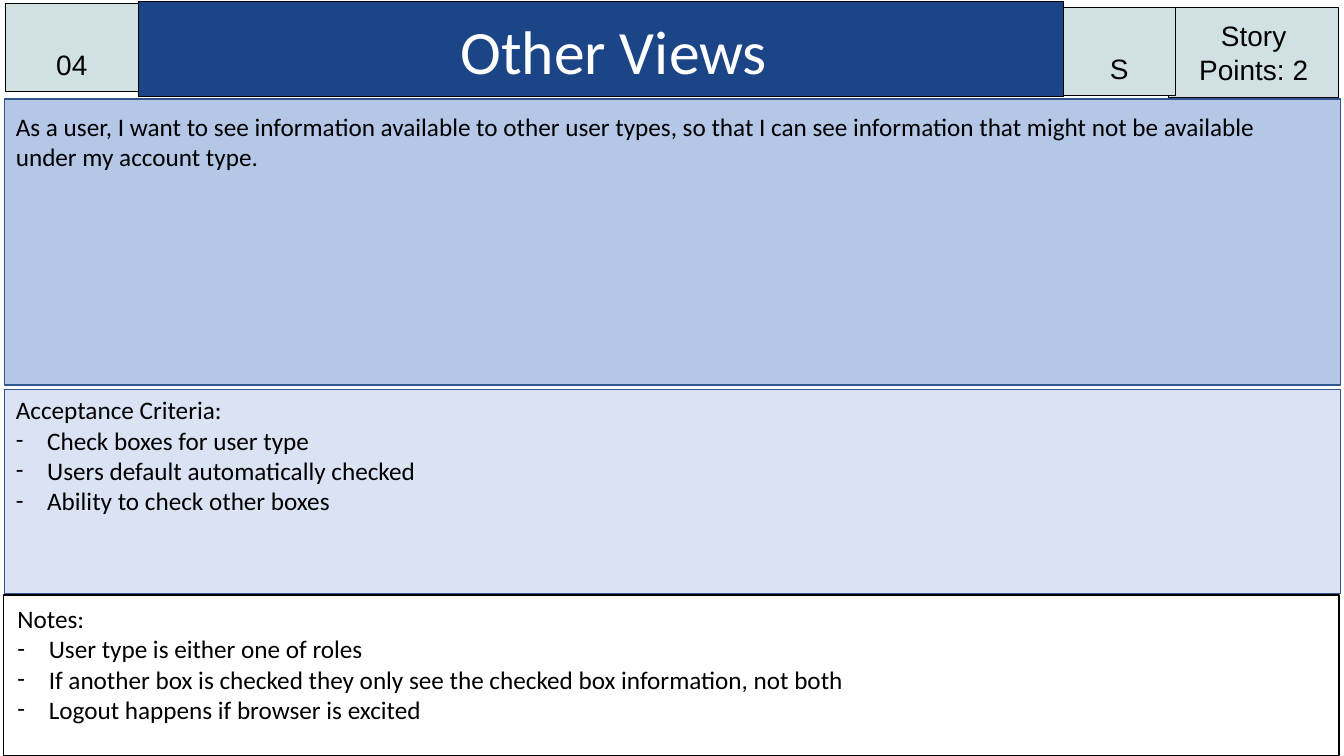
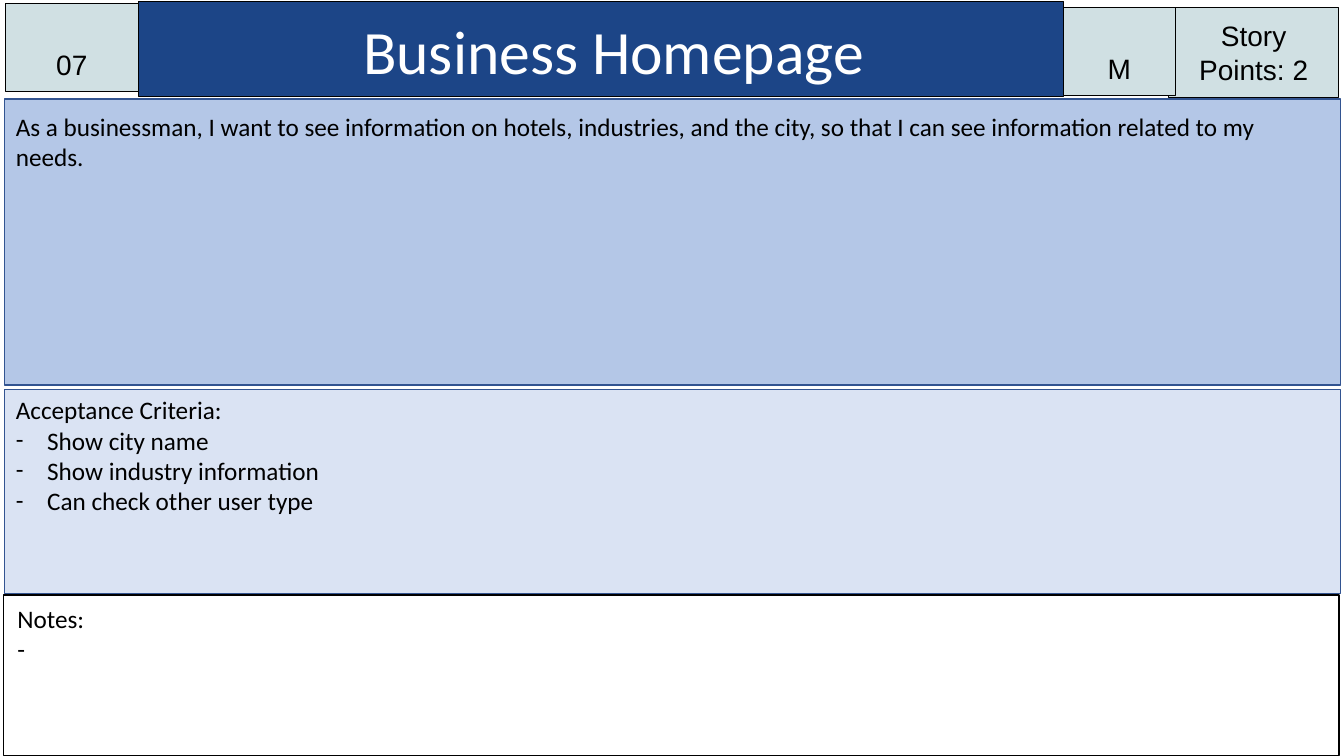
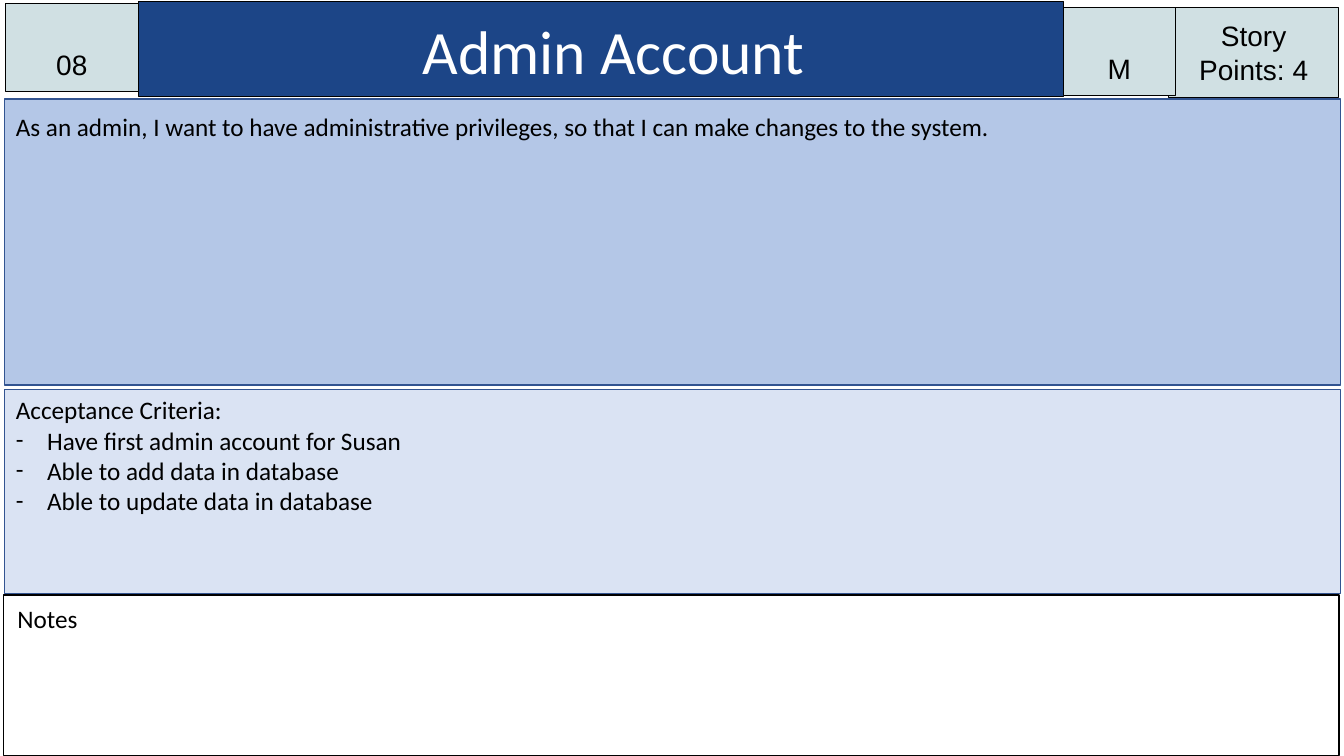
import pptx
import pptx.dml.color
import pptx.enum.shapes
import pptx.enum.text
import pptx.oxml.ns
import pptx.util
import lxml.etree
from pptx.util import Cm

COLOURS = {
    "title": "1C4587",
    "badge": "D0E0E3",
    "story": "B4C7E7",
    "criteria": "DAE3F3",
    "border": "325491",
    "white": "FFFFFF",
    "black": "000000",
}
ALIGN = pptx.enum.text.PP_ALIGN
ANCHOR = pptx.enum.text.MSO_ANCHOR

# Left, top, width, height in centimetres; fill, line colour, line width in points
BOXES = {
    "title": ((3.5, 0.03, 23.3, 2.4), "title", "black", 0.75),
    "points": ((29.46, 0.2, 4.27, 2.25), "badge", "black", 0.75),
    "size": ((26.8, 0.2, 2.82, 2.22), "badge", "black", 0.75),
    "number": ((0.13, 0.08, 3.36, 2.23), "badge", "black", 0.75),
    "story panel": ((0.12, 2.5, 33.66, 7.2), "story", "border", 1),
    "criteria panel": ((0.12, 9.82, 33.66, 5.13), "criteria", "border", 1),
    "notes panel": ((0.09, 14.99, 33.66, 4.05), "white", "black", 1),
}
TEXT_BOXES = {
    "criteria": (0.15, 9.82, 33.6, 3.33),
    "story": (0.15, 2.68, 33.05, 1.8),
    "notes": (0.19, 15.08, 33.57, 3.33),
}

# Text frame settings, then font name, size, colour and alignment
BADGE_FRAME = {
    "margin_left": Cm(0.25), "margin_right": Cm(0.25),
    "margin_top": Cm(0.27), "margin_bottom": Cm(0.25),
    "vertical_anchor": ANCHOR.TOP, "word_wrap": True,
}
LOW_BADGE_FRAME = {**BADGE_FRAME, "margin_top": Cm(1.11)}
TITLE_FRAME = {**BADGE_FRAME, "margin_left": Cm(0.89), "vertical_anchor": ANCHOR.BOTTOM}
BODY_FRAME = {"vertical_anchor": ANCHOR.TOP, "word_wrap": True}
BADGE_FONT = ("Arial", 20, "black", ALIGN.CENTER)
BODY_STYLE = (BODY_FRAME, ("Calibri", 18, "black", ALIGN.LEFT))
STYLES = {
    "title": (TITLE_FRAME, ("Calibri", 44, "white", ALIGN.CENTER)),
    "points": (BADGE_FRAME, BADGE_FONT),
    "size": (LOW_BADGE_FRAME, BADGE_FONT),
    "number": (LOW_BADGE_FRAME, BADGE_FONT),
    "criteria": BODY_STYLE,
    "story": BODY_STYLE,
    "notes": BODY_STYLE,
}

CARDS = [
    {
        "number": ["04"],
        "title": ["Other Views"],
        "size": ["S"],
        "points": ["Story Points: 2"],
        "story": ["As a user, I want to see information available to other user types, "
                  "so that I can see information that might not be available under my account type."],
        "criteria": ["Acceptance Criteria:", "Check boxes for user type",
                     "Users default automatically checked", "Ability to check other boxes"],
        "notes": ["Notes:", "User type is either one of roles",
                  "If another box is checked they only see the checked box information, not both",
                  "Logout happens if browser is excited"],
    },
    {
        "number": ["07"],
        "title": ["Business Homepage"],
        "size": ["M"],
        "points": ["Story Points: 2"],
        "story": ["As a businessman, I want to see information on hotels, industries, and the city, "
                  "so that I can see information related to my needs."],
        "criteria": ["Acceptance Criteria:", "Show city name",
                     "Show industry information", "Can check other user type"],
        "notes": ["Notes:", "-"],
    },
    {
        "number": ["08"],
        "title": ["Admin Account"],
        "size": ["M"],
        "points": ["Story Points: 4"],
        "story": ["As an admin, I want to have administrative privileges, "
                  "so that I can make changes to the system."],
        "criteria": ["Acceptance Criteria:", "Have first admin account for Susan",
                     "Able to add data in database", "Able to update data in database"],
        "notes": ["Notes"],
    },
]


def colour(name):
    return pptx.dml.color.RGBColor.from_string(COLOURS[name])


def write_text(shape, lines, style):
    """Fill a shape with a heading line and dash-bulleted lines below it."""
    frame_format, (font_name, font_size, font_colour, alignment) = style
    frame = shape.text_frame
    for attribute, value in frame_format.items():
        setattr(frame, attribute, value)
    frame.text = "\n".join(lines)
    for index, paragraph in enumerate(frame.paragraphs):
        paragraph.alignment = alignment
        font = paragraph.runs[0].font
        for attribute, value in {"name": font_name, "size": pptx.util.Pt(font_size)}.items():
            setattr(font, attribute, value)
        font.color.rgb = colour(font_colour)
        # A lone dash is an unfilled item and stays plain text
        if index > 0 and paragraph.text != "-":
            properties = paragraph._p.get_or_add_pPr()
            properties.set("marL", str(Cm(0.79)))
            properties.set("indent", str(-Cm(0.79)))
            bullet_font = lxml.etree.SubElement(properties, pptx.oxml.ns.qn("a:buFont"))
            bullet_font.set("typeface", font_name)
            bullet = lxml.etree.SubElement(properties, pptx.oxml.ns.qn("a:buChar"))
            bullet.set("char", "-")


presentation = pptx.Presentation()
presentation.slide_width = Cm(33.87)
presentation.slide_height = Cm(19.05)

for card in CARDS:
    slide = presentation.slides.add_slide(presentation.slide_layouts[6])
    for name, (bounds, fill, line, line_width) in BOXES.items():
        shape = slide.shapes.add_shape(
            pptx.enum.shapes.MSO_SHAPE.RECTANGLE, *[Cm(length) for length in bounds])
        shape.shadow.inherit = False
        shape.fill.solid()
        shape.fill.fore_color.rgb = colour(fill)
        shape.line.color.rgb = colour(line)
        shape.line.width = pptx.util.Pt(line_width)
        if name in card:
            write_text(shape, card[name], STYLES[name])
    for name, bounds in TEXT_BOXES.items():
        shape = slide.shapes.add_textbox(*[Cm(length) for length in bounds])
        write_text(shape, card[name], STYLES[name])

presentation.save("out.pptx")
